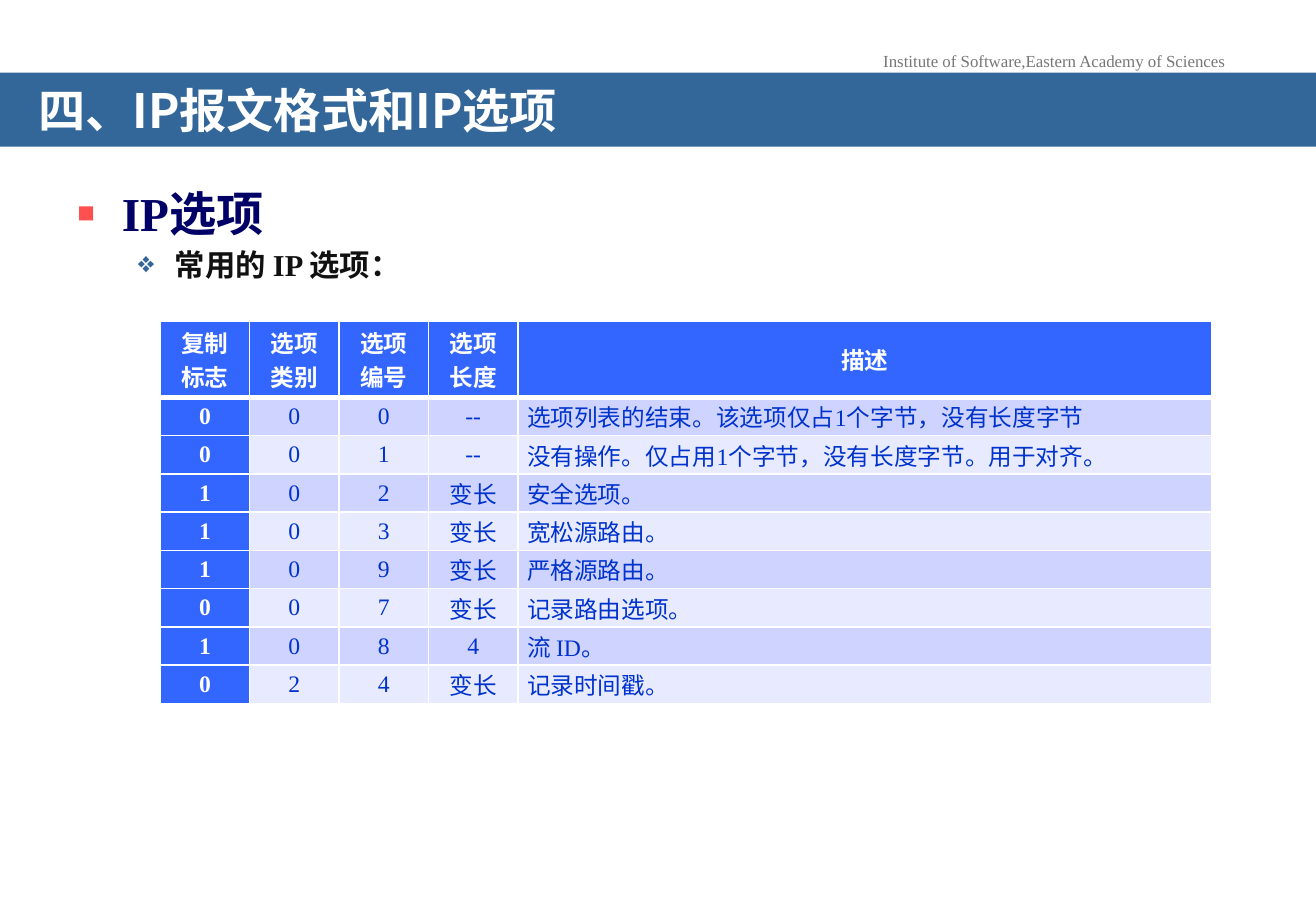
from lxml import etree
from pptx import Presentation
from pptx.dml.color import RGBColor
from pptx.enum.shapes import MSO_SHAPE
from pptx.enum.text import MSO_ANCHOR, PP_ALIGN
from pptx.oxml.ns import qn
from pptx.util import Cm, Pt

RECTANGLE = MSO_SHAPE.RECTANGLE
MIDDLE = MSO_ANCHOR.MIDDLE
LEFT, CENTER = PP_ALIGN.LEFT, PP_ALIGN.CENTER

# Content
INSTITUTE = "Institute of Software,Eastern Academy of Sciences"
TITLE = "四、IP报文格式和IP选项"
HEADERS = ["复制\n标志", "选项\n类别", "选项\n编号", "选项\n长度", "描述"]
OPTIONS = [
    ("0", "0", "0", "--", "选项列表的结束。该选项仅占1个字节，没有长度字节"),
    ("0", "0", "1", "--", "没有操作。仅占用1个字节，没有长度字节。用于对齐。"),
    ("1", "0", "2", "变长", "安全选项。"),
    ("1", "0", "3", "变长", "宽松源路由。"),
    ("1", "0", "9", "变长", "严格源路由。"),
    ("0", "0", "7", "变长", "记录路由选项。"),
    ("1", "0", "8", "4", "流 ID。"),
    ("0", "2", "4", "变长", "记录时间戳。"),
]

# Colours and fonts
WHITE = RGBColor(0xFF, 0xFF, 0xFF)
GREY = RGBColor(0x77, 0x77, 0x77)
STEEL = RGBColor(0x33, 0x66, 0x99)
NAVY = RGBColor(0x00, 0x00, 0x66)
BLACK = RGBColor(0x11, 0x11, 0x11)
CORAL = RGBColor(0xFF, 0x50, 0x50)
HEADER_BLUE = RGBColor(0x33, 0x66, 0xFF)
TEXT_BLUE = RGBColor(0x00, 0x33, 0xCC)
BANDS = (RGBColor(0xCE, 0xD3, 0xFF), RGBColor(0xE8, 0xEA, 0xFF))
SERIF, SANS = "Times New Roman", "Noto Sans CJK SC"

# text, size, colour, bullet, bullet colour, bullet size %, indent, hanging
OUTLINE = [
    ("IP选项", 28, NAVY, "▪", CORAL, 120, Cm(0.95), Cm(0.95)),
    ("常用的 IP 选项：", 18, BLACK, "❖", STEEL, 75, Cm(2.06), Cm(0.79)),
]

# Measures: an A4 slide is exactly 780 points wide
SLIDE_WIDTH, SLIDE_HEIGHT = Pt(780), Cm(19.05)
COLUMN_WIDTHS = [Cm(1.87)] * 4 + [Cm(14.5)]
HEADER_HEIGHT, ROW_HEIGHT = Cm(1.59), Cm(0.8)


def style(paragraph, size, colour, bold=False, font=SERIF):
    for run in paragraph.runs:
        run.font.size = Pt(size)
        run.font.bold = bold
        run.font.name = font
        run.font.color.rgb = colour
        east_asian = etree.SubElement(run.font._element, qn("a:ea"))
        east_asian.set("typeface", SANS)


def add_bullet(paragraph, char, colour, percent, indent, hanging):
    props = paragraph._p.get_or_add_pPr()
    props.set("marL", str(indent))
    props.set("indent", str(-hanging))
    bullet_colour = etree.SubElement(props, qn("a:buClr"))
    etree.SubElement(bullet_colour, qn("a:srgbClr")).set("val", str(colour))
    etree.SubElement(props, qn("a:buSzPct")).set("val", str(percent * 1000))
    etree.SubElement(props, qn("a:buFont")).set("typeface", SERIF)
    etree.SubElement(props, qn("a:buChar")).set("char", char)


def add_borders(cell, top, bottom):
    props = cell._tc.get_or_add_tcPr()
    for side, width in (("L", 1), ("R", 1), ("T", top), ("B", bottom)):
        line = etree.SubElement(props, qn(f"a:ln{side}"), w=str(Pt(width)))
        fill = etree.SubElement(line, qn("a:solidFill"))
        etree.SubElement(fill, qn("a:srgbClr")).set("val", str(WHITE))


deck = Presentation()
deck.slide_width, deck.slide_height = SLIDE_WIDTH, SLIDE_HEIGHT
slide = deck.slides.add_slide(deck.slide_layouts[6])

# Institute line
institute = slide.shapes.add_textbox(Cm(18.14), Cm(0.93), Cm(7.8), Cm(0.69)).text_frame
institute.text = INSTITUTE
institute.word_wrap = False
institute.paragraphs[0].alignment = CENTER
style(institute.paragraphs[0], 10, GREY)

# Outline
outline = slide.shapes.add_textbox(Cm(1.35), Cm(3.72), Cm(24.79), Cm(15.01)).text_frame
outline.word_wrap = True
outline.text = "\n".join(item[0] for item in OUTLINE)
for level, (paragraph, item) in enumerate(zip(outline.paragraphs, OUTLINE)):
    text, size, colour, *bullet = item
    paragraph.level = level
    paragraph.space_before = Pt(size * 0.2)
    style(paragraph, size, colour, bold=True)
    add_bullet(paragraph, *bullet)

# Title band
band = slide.shapes.add_shape(RECTANGLE, 0, Cm(1.52), SLIDE_WIDTH, Cm(1.55))
band.shadow.inherit = False
band.fill.solid()
band.fill.fore_color.rgb = STEEL
band.line.fill.background()
title = band.text_frame
title.text = TITLE
title.word_wrap = True
title.vertical_anchor = MIDDLE
title.margin_left = title.margin_right = Cm(0.8)
title.margin_top, title.margin_bottom = Cm(0.41), Cm(0.13)
title.paragraphs[0].alignment = LEFT
title.paragraphs[0].line_spacing = 0.7
style(title.paragraphs[0], 28, WHITE, bold=True, font=SANS)

# Options table
rows = [HEADERS] + OPTIONS
table = slide.shapes.add_table(
    len(rows), len(HEADERS), Cm(3.35), Cm(6.72),
    sum(COLUMN_WIDTHS), HEADER_HEIGHT + ROW_HEIGHT * len(OPTIONS)).table
for column, width in zip(table.columns, COLUMN_WIDTHS):
    column.width = width
for r, row in enumerate(rows):
    table.rows[r].height = ROW_HEIGHT if r else HEADER_HEIGHT
    for c, text in enumerate(row):
        cell = table.cell(r, c)
        is_heading = r == 0 or c == 0
        is_description = r > 0 and c == len(HEADERS) - 1
        add_borders(cell, top=3 if r == 1 else 1, bottom=3 if r == 0 else 1)
        cell.fill.solid()
        cell.fill.fore_color.rgb = HEADER_BLUE if is_heading else BANDS[(r - 1) % 2]
        cell.vertical_anchor = MIDDLE
        cell.margin_left = cell.margin_right = Cm(0.19)
        cell.margin_top = cell.margin_bottom = 0
        cell.text_frame.text = text
        for paragraph in cell.text_frame.paragraphs:
            paragraph.alignment = LEFT if is_description else CENTER
            style(paragraph, 14, WHITE if is_heading else TEXT_BLUE, bold=is_heading)

deck.save("out.pptx")
